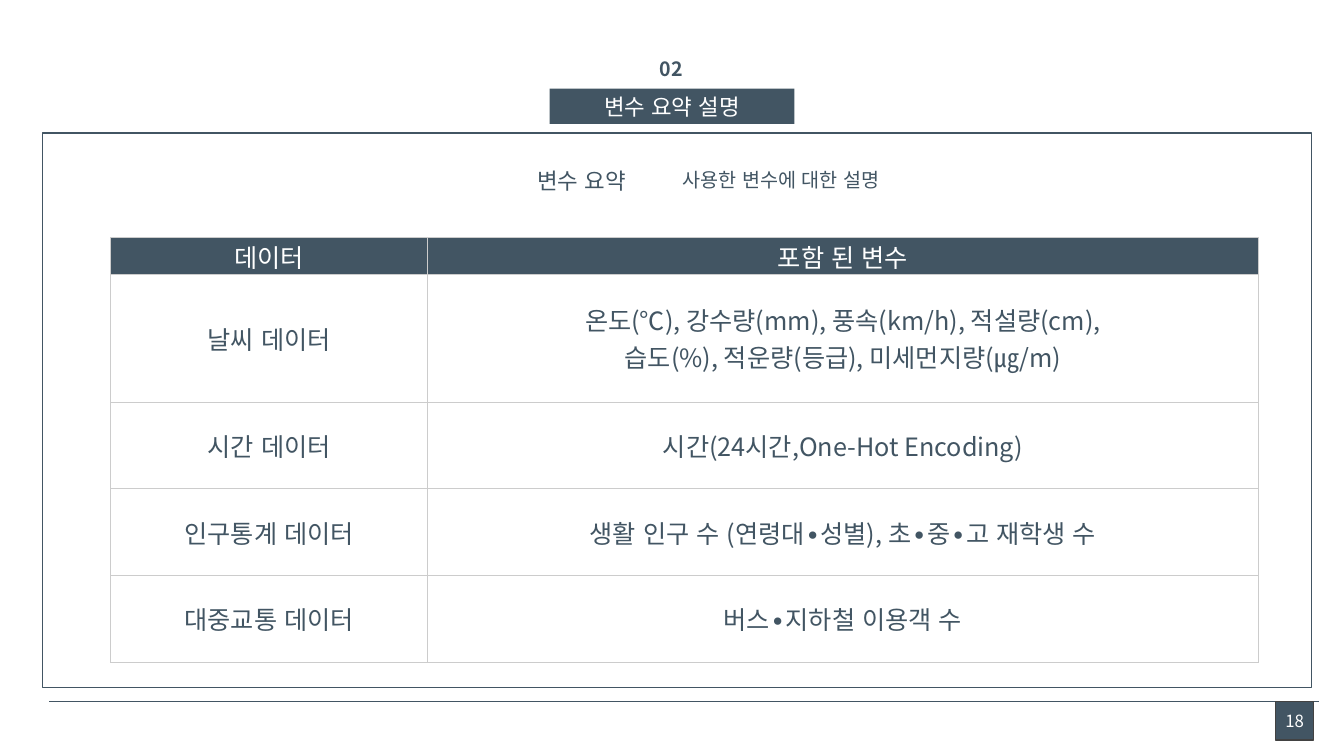
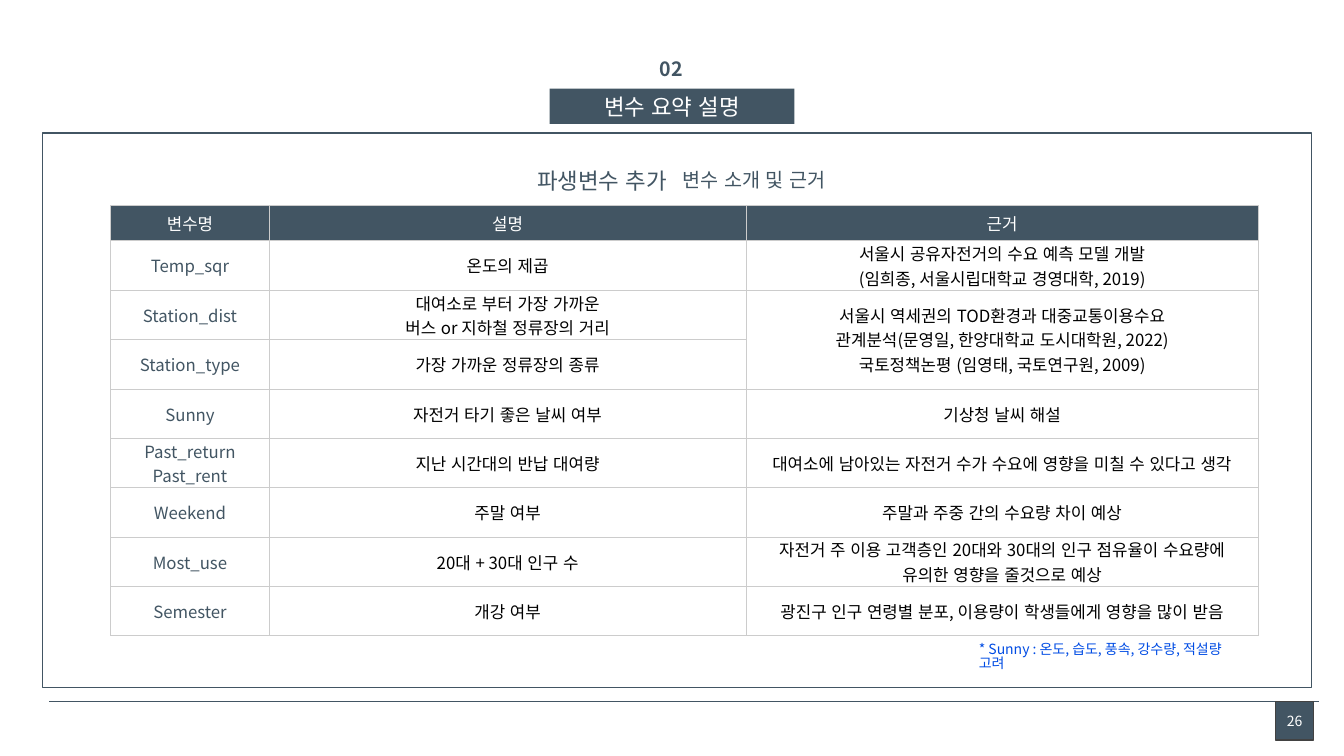
"""Build two slides that sum up the variables of a bike demand study."""
import pptx
import pptx.util
import pptx.dml.color
import pptx.enum.lang
import pptx.enum.shapes
import pptx.enum.text
import pptx.oxml
import pptx.oxml.ns

Inches = pptx.util.Inches
Pt = pptx.util.Pt
Color = pptx.dml.color.RGBColor
Align = pptx.enum.text.PP_ALIGN
Anchor = pptx.enum.text.MSO_ANCHOR
Kind = pptx.enum.shapes.MSO_SHAPE

SLATE = Color(0x42, 0x55, 0x63)
EDGE = Color(0x42, 0x42, 0x42)
GRID = Color(0xCC, 0xCC, 0xCC)
WHITE = Color(0xFF, 0xFF, 0xFF)
BLACK = Color(0, 0, 0)
BLUE = Color(0x00, 0x4C, 0xE4)
FONT = "Noto Sans CJK KR"
TITLE = "변수 요약 설명"

SLIDES = [
    dict(
        page="18", page_size=12, head="변수 요약", lead="사용한 변수에 대한 설명", note=None,
        top=2.36, cols=[3.14, 8.24], heights=[0.36, 1.27] + [0.86] * 3, size=18, ink=SLATE,
        rows=[
            ("데이터", "포함 된 변수"),
            ("날씨 데이터", "온도(℃), 강수량(mm), 풍속(km/h), 적설량(cm),\n습도(%), 적운량(등급), 미세먼지량(㎍/m)"),
            ("시간 데이터", "시간(24시간,One-Hot Encoding)"),
            ("인구통계 데이터", "생활 인구 수 (연령대∙성별), 초∙중∙고 재학생 수"),
            ("대중교통 데이터", "버스∙지하철 이용객 수"),
        ],
    ),
    dict(
        page="26", page_size=10, head="파생변수 추가", lead="변수 소개 및 근거",
        note="* Sunny : 온도, 습도, 풍속, 강수량, 적설량 고려",
        top=2.04, cols=[1.57, 4.73, 5.08], heights=[0.35] + [0.49] * 8, size=12, ink=BLACK,
        rows=[
            ("변수명", "설명", "근거"),
            ("Temp_sqr", "온도의 제곱",
             "서울시 공유자전거의 수요 예측 모델 개발\n(임희종, 서울시립대학교 경영대학, 2019)"),
            ("Station_dist", "대여소로 부터 가장 가까운\n버스 or 지하철 정류장의 거리",
             "서울시 역세권의 TOD환경과 대중교통이용수요\n"
             "관계분석(문영일, 한양대학교 도시대학원, 2022)\n"
             "국토정책논평 (임영태, 국토연구원, 2009)"),
            ("Station_type", "가장 가까운 정류장의 종류", None),
            ("Sunny", "자전거 타기 좋은 날씨 여부", "기상청 날씨 해설"),
            ("Past_return\nPast_rent", "지난 시간대의 반납 대여량",
             "대여소에 남아있는 자전거 수가 수요에 영향을 미칠 수 있다고 생각"),
            ("Weekend", "주말 여부", "주말과 주중 간의 수요량 차이 예상"),
            ("Most_use", "20대 + 30대 인구 수",
             "자전거 주 이용 고객층인 20대와 30대의 인구 점유율이 수요량에\n유의한 영향을 줄것으로 예상"),
            ("Semester", "개강 여부", "광진구 인구 연령별 분포, 이용량이 학생들에게 영향을 많이 받음"),
        ],
    ),
]


def add_node(parent, tag, **attrs):
    node = pptx.oxml.parse_xml(f"<{tag} {pptx.oxml.ns.nsdecls('a')}/>")
    for key, value in attrs.items():
        node.set(key, str(value))
    parent.append(node)
    return node


def write(frame, text, size=12, color=SLATE, bold=False, align=Align.CENTER, space=None):
    frame.text = text
    frame.word_wrap = True
    for para in frame.paragraphs:
        para.alignment = align
        para.line_spacing = space
        for run in para.runs:
            font = run.font
            font.name, font.size, font.bold = FONT, Pt(size), bold
            font.color.rgb = color
            font.language_id = pptx.enum.lang.MSO_LANGUAGE_ID.KOREAN
            add_node(font._element, "a:ea", typeface=FONT)


def add_label(slide, box, text, **style):
    label = slide.shapes.add_textbox(*map(Inches, box))
    write(label.text_frame, text, **style)


def add_box(slide, box, line, fill=None):
    shape = slide.shapes.add_shape(Kind.RECTANGLE, *map(Inches, box))
    shape.shadow.inherit = False
    shape.line.color.rgb, shape.line.width = line, Pt(1)
    if fill is None:
        shape.fill.background()
    else:
        shape.fill.solid()
        shape.fill.fore_color.rgb = fill
    return shape


def add_base(slide, page, size):
    title = slide.shapes.title
    title.left, title.top, title.width, title.height = map(Inches, (5.45, 0.88, 2.43, 0.35))
    title.fill.solid()
    title.fill.fore_color.rgb = SLATE
    write(title.text_frame, TITLE, size=16, color=WHITE)
    title.text_frame.auto_size = pptx.enum.text.MSO_AUTO_SIZE.NONE
    title.text_frame.vertical_anchor = Anchor.MIDDLE

    rule = slide.shapes.add_connector(
        pptx.enum.shapes.MSO_CONNECTOR.STRAIGHT, *map(Inches, (13.08, 6.96, 0.49, 6.96)))
    rule.line.color.rgb, rule.line.width = SLATE, Pt(0.5)
    add_node(rule._element.spPr, "a:effectLst")

    add_box(slide, (0.42, 1.32, 12.59, 5.5), SLATE)
    add_label(slide, (5.23, 0.52, 2.86, 0.34), "02", size=14, bold=True)
    badge = add_box(slide, (12.65, 6.96, 0.38, 0.38), EDGE, SLATE)
    frame = badge.text_frame
    frame.margin_left = frame.margin_right = 0
    frame.vertical_anchor = Anchor.MIDDLE
    write(frame, page, size=size, color=WHITE)


def style_cell(cell, fill):
    cell.margin_left = cell.margin_right = Inches(0.01)
    cell.margin_top = cell.margin_bottom = 0
    cell.vertical_anchor = Anchor.MIDDLE
    props = cell._tc.get_or_add_tcPr()
    for side in "LRTB":
        edge = add_node(props, f"a:ln{side}", w=Pt(0.75))
        add_node(add_node(edge, "a:solidFill"), "a:srgbClr", val=GRID)
    cell.fill.solid()
    cell.fill.fore_color.rgb = fill


def add_grid(slide, data):
    rows, cols, heights = data["rows"], data["cols"], data["heights"]
    box = (1.1, data["top"], sum(cols), sum(heights))
    table = slide.shapes.add_table(len(rows), len(cols), *map(Inches, box)).table
    table.first_row = table.horz_banding = False
    for col, width in zip(table.columns, cols):
        col.width = Inches(width)
    for row, height in zip(table.rows, heights):
        row.height = Inches(height)
    for r, row in enumerate(rows):
        for c, text in enumerate(row):
            cell = table.cell(r, c)
            style_cell(cell, WHITE if r else SLATE)
            if text is None:
                table.cell(r - 1, c).merge(cell)
                continue
            ink = WHITE if r == 0 else data["ink"] if c else SLATE
            write(cell.text_frame, text, size=data["size"], color=ink)


def main():
    deck = pptx.Presentation()
    deck.slide_width, deck.slide_height = Inches(13.33), Inches(7.5)
    for data in SLIDES:
        slide = deck.slides.add_slide(deck.slide_layouts[5])
        add_base(slide, data["page"], data["page_size"])
        add_label(slide, (5.23, 1.61, 2.12, 0.38), data["head"], size=16, align=Align.LEFT)
        add_label(slide, (6.67, 1.62, 3.43, 0.34), data["lead"], size=14, align=Align.LEFT)
        add_grid(slide, data)
        if data["note"]:
            add_label(slide, (9.61, 6.33, 2.86, 0.27), data["note"], size=10, color=BLUE,
                      align=Align.LEFT, space=0.85)
    deck.save("out.pptx")


if __name__ == "__main__":
    main()
